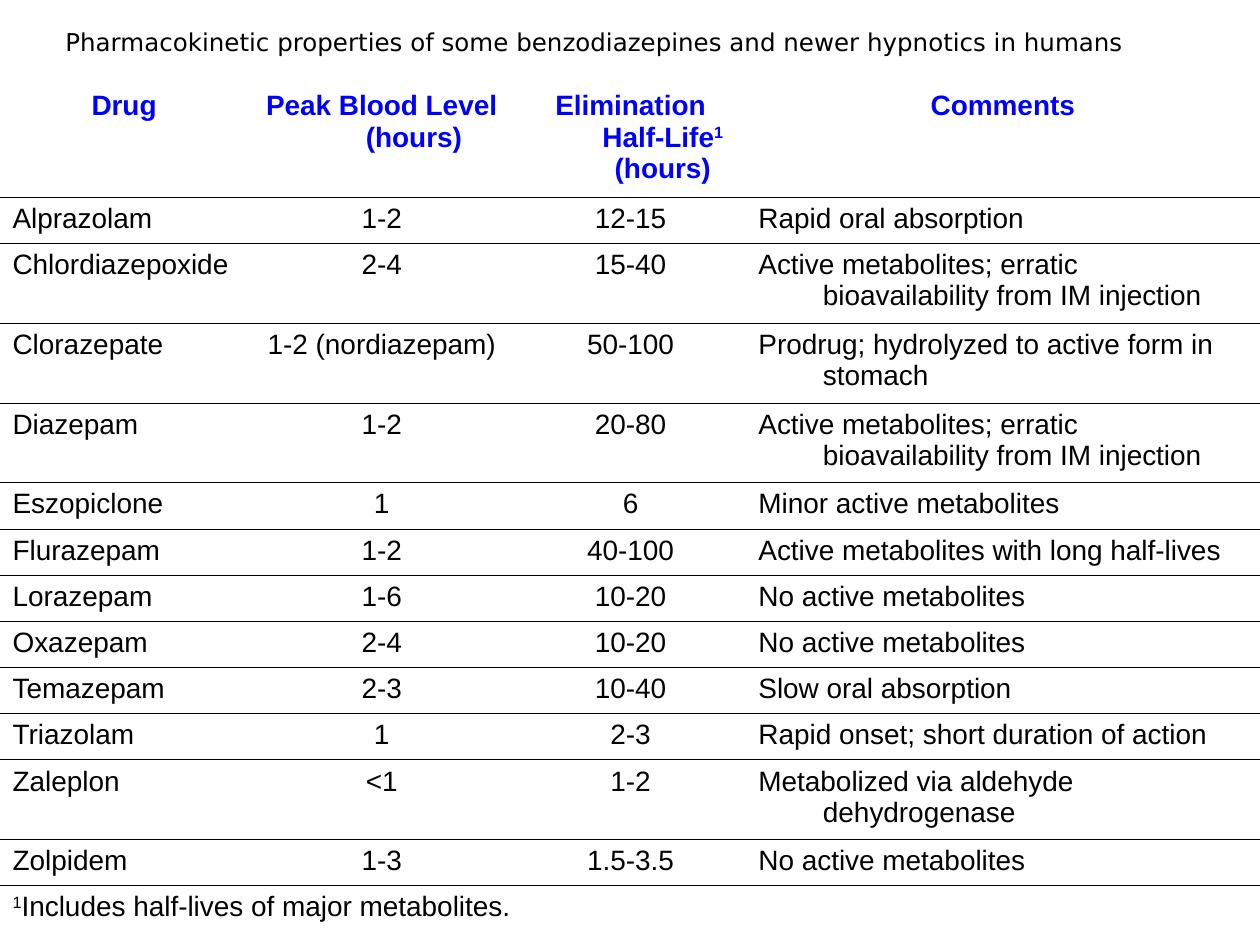
import pptx
import pptx.dml.color
import pptx.enum.text
import pptx.oxml.ns
import pptx.util
from lxml import etree

Pt = pptx.util.Pt
ALIGN = pptx.enum.text.PP_ALIGN

COLUMN_WIDTHS = [141.84, 152.64, 131.76, 293.76]
HEADER_HEIGHT, SINGLE_LINE, DOUBLE_LINE = 64.3, 26.4, 45.6
HANGING_INDENT = 36.85
RULE_WIDTH = 0.06

TITLE_FORMAT = {"name": "DejaVu Sans", "size": Pt(14), "bold": False}
HEADER_FORMAT = {"name": "Arial", "size": Pt(16), "bold": True}
BODY_FORMAT = {"name": "Arial", "size": Pt(16), "bold": False}
BLACK, BLUE = "000000", "0000FF"

# Carets enclose superscripts
HEADINGS = ["Drug", "Peak Blood Level (hours)",
            "Elimination Half-Life^1^ (hours)", "Comments"]
ERRATIC = "Active metabolites; erratic bioavailability from IM injection"
DRUGS = [
    ("Alprazolam", "1-2", "12-15", "Rapid oral absorption"),
    ("Chlordiazepoxide", "2-4", "15-40", ERRATIC),
    ("Clorazepate", "1-2 (nordiazepam)", "50-100",
     "Prodrug; hydrolyzed to active form in stomach"),
    ("Diazepam", "1-2", "20-80", ERRATIC),
    ("Eszopiclone", "1", "6", "Minor active metabolites"),
    ("Flurazepam", "1-2", "40-100", "Active metabolites with long half-lives"),
    ("Lorazepam", "1-6", "10-20", "No active metabolites"),
    ("Oxazepam", "2-4", "10-20", "No active metabolites"),
    ("Temazepam", "2-3", "10-40", "Slow oral absorption"),
    ("Triazolam", "1", "2-3", "Rapid onset; short duration of action"),
    ("Zaleplon", "<1", "1-2", "Metabolized via aldehyde dehydrogenase"),
    ("Zolpidem", "1-3", "1.5-3.5", "No active metabolites"),
]
TWO_LINE_DRUGS = {"Chlordiazepoxide", "Clorazepate", "Diazepam", "Zaleplon"}
FOOTNOTE = "^1^Includes half-lives of major metabolites."


def rgb(hex_code):
    return pptx.dml.color.RGBColor.from_string(hex_code)


def write_text(paragraph, text, font_format, color, align=ALIGN.LEFT):
    paragraph.alignment = align
    for index, piece in enumerate(text.split("^")):
        if not piece:
            continue
        run = paragraph.add_run()
        run.text = piece
        for attribute, value in font_format.items():
            setattr(run.font, attribute, value)
        run.font.color.rgb = rgb(color)
        if index % 2:
            run.font._element.set("baseline", "30000")


def set_borders(cell, ruled_sides):
    properties = cell._tc.get_or_add_tcPr()
    qn = pptx.oxml.ns.qn
    for position, side in enumerate("LRTB"):
        line = etree.Element(qn("a:ln" + side), w=str(Pt(RULE_WIDTH)))
        if side in ruled_sides:
            fill = etree.SubElement(line, qn("a:solidFill"))
            etree.SubElement(fill, qn("a:srgbClr"), val=BLACK)
        else:
            etree.SubElement(line, qn("a:noFill"))
        properties.insert(position, line)


def fill_cell(cell, text, font_format, color, align, ruled_sides):
    cell.fill.background()
    set_borders(cell, ruled_sides)
    paragraph = cell.text_frame.paragraphs[0]
    indents = paragraph._p.get_or_add_pPr()
    indents.set("marL", str(Pt(HANGING_INDENT)))
    indents.set("indent", str(-Pt(HANGING_INDENT)))
    write_text(paragraph, text, font_format, color, align)


def add_title(slide, text):
    box = slide.shapes.add_textbox(Pt(30.24), Pt(12.24), Pt(632.88), Pt(23.76))
    frame = box.text_frame
    frame.word_wrap = True
    frame.vertical_anchor = pptx.enum.text.MSO_ANCHOR.BOTTOM
    write_text(frame.paragraphs[0], text, TITLE_FORMAT, BLACK)


def add_drug_table(slide):
    heights = [HEADER_HEIGHT]
    heights += [DOUBLE_LINE if drug[0] in TWO_LINE_DRUGS else SINGLE_LINE
                for drug in DRUGS]
    heights.append(SINGLE_LINE)
    table = slide.shapes.add_table(
        len(heights), len(COLUMN_WIDTHS), Pt(0), Pt(48.24),
        Pt(sum(COLUMN_WIDTHS)), Pt(sum(heights))).table
    table.first_row = table.horz_banding = False
    for column, width in zip(table.columns, COLUMN_WIDTHS):
        column.width = Pt(width)
    for row, height in zip(table.rows, heights):
        row.height = Pt(height)

    # Headings
    for cell, heading in zip(table.rows[0].cells, HEADINGS):
        fill_cell(cell, heading, HEADER_FORMAT, BLUE, ALIGN.CENTER, "B")

    # One row per drug, with the two numeric columns centred
    alignments = [ALIGN.LEFT, ALIGN.CENTER, ALIGN.CENTER, ALIGN.LEFT]
    for row_index, drug in enumerate(DRUGS, start=1):
        for cell, text, align in zip(table.rows[row_index].cells, drug, alignments):
            fill_cell(cell, text, BODY_FORMAT, BLACK, align, "TB")

    # Footnote across all columns
    last = len(heights) - 1
    table.cell(last, 0).merge(table.cell(last, len(COLUMN_WIDTHS) - 1))
    for cell, text in zip(table.rows[last].cells, [FOOTNOTE, "", "", ""]):
        fill_cell(cell, text, BODY_FORMAT, BLACK, ALIGN.LEFT, "T")


def main():
    deck = pptx.Presentation()
    deck.slide_width, deck.slide_height = Pt(720), Pt(540)
    slide = deck.slides.add_slide(deck.slide_layouts[6])
    add_drug_table(slide)
    add_title(slide, "Pharmacokinetic properties of some benzodiazepines "
                     "and newer hypnotics in humans")
    deck.save("out.pptx")


if __name__ == "__main__":
    main()
